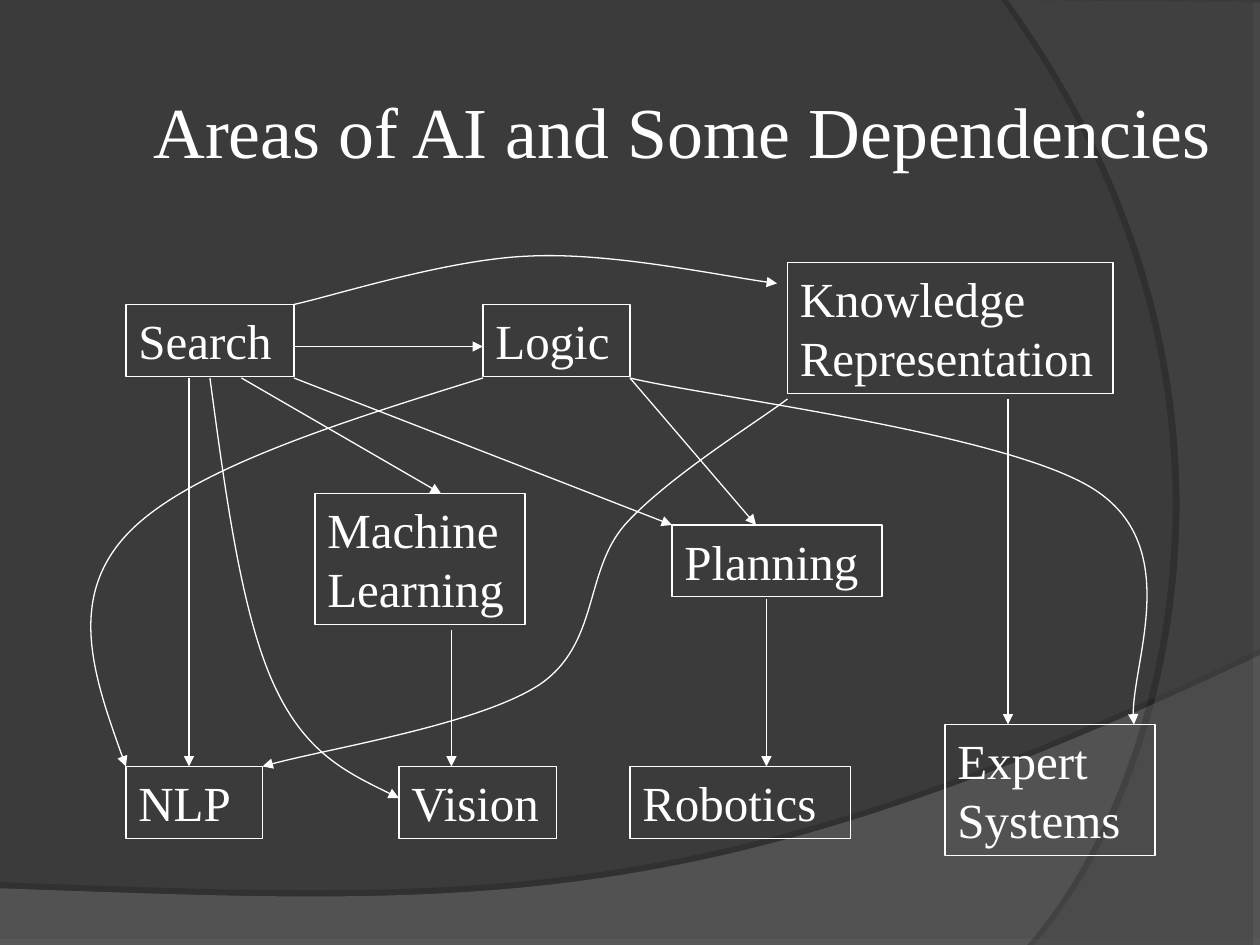
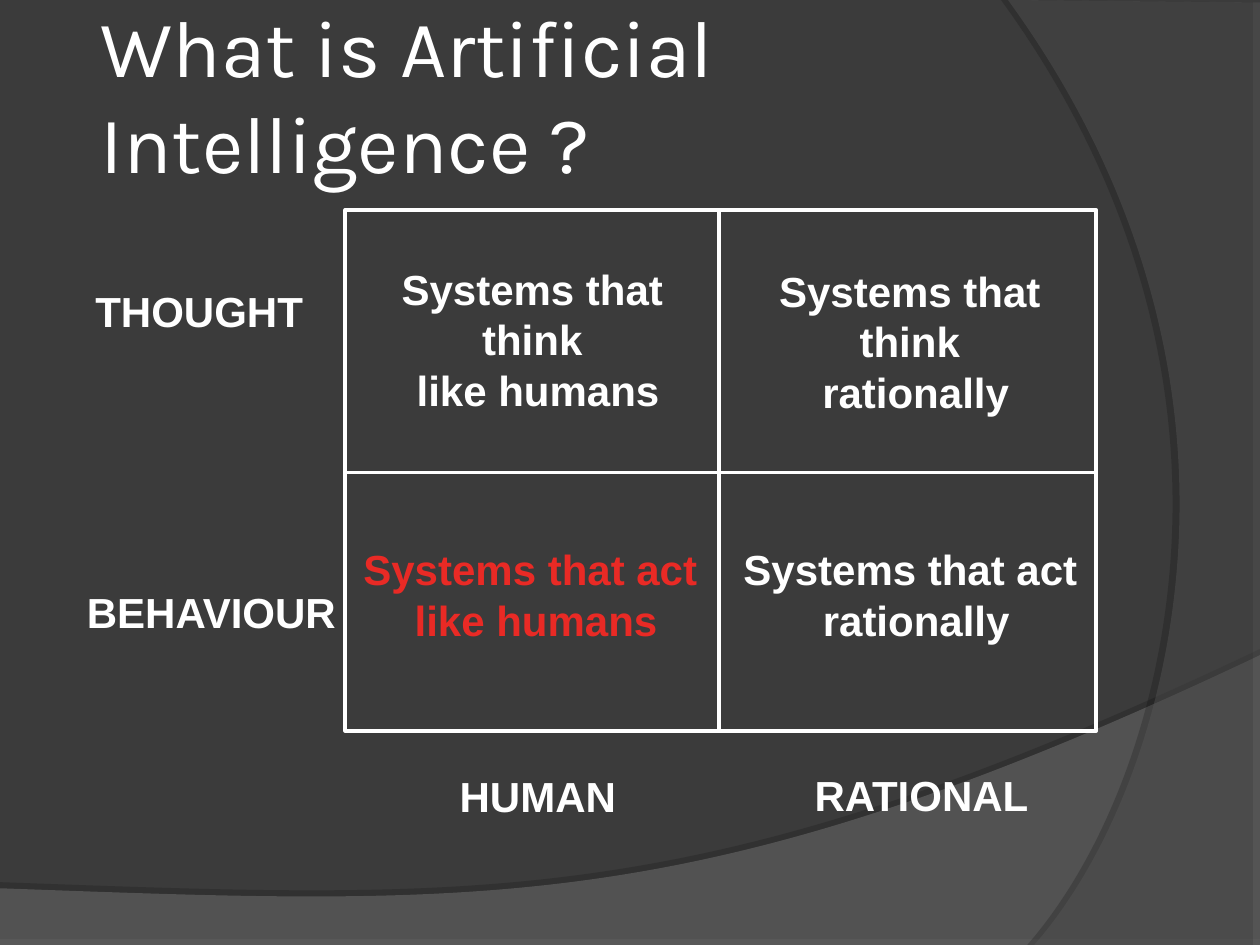
from dataclasses import dataclass
from typing import Any

import pptx
import pptx.dml.color
import pptx.enum.dml
import pptx.enum.shapes
import pptx.enum.text
import pptx.oxml
import pptx.oxml.ns
import pptx.util

# The slide is a grid of 120 columns by 90 rows.
WIDE, HIGH = pptx.util.Inches(10), pptx.util.Inches(7.5)
UNIT = WIDE / 120

COLORS = {
    "back": "3B3B3B",
    "floor": "7C7C7C",
    "side": "595959",
    "white": "FFFFFF",
    "red": "E92A25",
    "shade": "000000",
}
SERIF, SANS, HEAD = "Times New Roman", "Arial", "Karla"
ALIGN = pptx.enum.text.PP_ALIGN
ANCHOR = pptx.enum.text.MSO_ANCHOR

Point = tuple[float, float]


@dataclass(frozen=True)
class Band:
    color: str
    alpha: int
    shade: int
    dist: float
    angle: int
    edge: list[Point]
    bend: list[Point]


@dataclass(frozen=True)
class Label:
    text: str
    col: float
    row: float
    cols: float
    rows: float
    size: int = 24
    font: str = SANS
    color: str = "white"
    bold: bool = True
    wrap: bool = False
    align: Any = ALIGN.LEFT
    anchor: Any = ANCHOR.TOP
    inset: float = 0.1


@dataclass(frozen=True)
class Node:
    text: str
    col: float
    row: float
    cols: float
    lines: int = 1


BANDS = [
    Band("floor", 45, 35, 3.5, 270,
         [(0, 84.6), (0, 90), (120, 90), (120, 62.4)],
         [(67.1, 87.5), (46.9, 86.3), (0, 84.6)]),
    Band("side", 40, 45, 4, 180,
         [(96, 0), (120, 0.24), (120, 90), (98.5, 90)],
         [(105.4, 82.1), (111.2, 68.6), (112.2, 52.6),
          (113.2, 36.6), (109.1, 18), (96, 0)]),
]

NODES = [
    Node("Search", 12, 29, 16),
    Node("Vision", 38, 73, 15),
    Node("Planning", 64, 50, 20),
    Node("Machine Learning", 30, 47, 20, 2),
    Node("Knowledge Representation", 75, 25, 31, 2),
    Node("Logic", 46, 29, 14),
    Node("Expert Systems", 90, 69, 20, 2),
    Node("Robotics", 60, 73, 21),
    Node("NLP", 12, 73, 13),
]

ARROWS: list[tuple[Point, Point]] = [
    ((18, 36), (18, 73)),  # Search to NLP
    ((28, 33), (46, 33)),  # Search to Logic
    ((28, 36), (64, 50)),  # Search to Planning
    ((23, 36), (42, 47)),  # Search to Machine Learning
    ((60, 36), (72, 50)),  # Logic to Planning
    ((96, 38), (96, 69)),  # Knowledge to Expert Systems
    ((43, 60), (43, 73)),  # Machine Learning to Vision
    ((73, 57), (73, 73)),  # Planning to Robotics
]

# Each curve is a start point, then three Bezier points a segment.
CURVES: list[list[Point]] = [
    # Search to Knowledge
    [(28, 29), (31.7, 28.2), (42.6, 24.7), (50.3, 24.4),
     (58, 24), (69.1, 26.4), (74, 27)],
    # Search to Vision
    [(20, 36), (21.5, 47.2), (23, 58.3), (26, 65),
     (29, 71.7), (33.5, 73.8), (38, 76)],
    # Logic to NLP
    [(46, 36), (31.8, 40.4), (17.6, 44.9), (12, 51),
     (6.4, 57.1), (9.1, 65), (12, 73)],
    # Logic to Expert Systems
    [(60, 36), (67.4, 37.8), (96.5, 41.3), (104.5, 46.8),
     (112.6, 52.3), (107.3, 64.3), (108, 69)],
    # Knowledge to NLP
    [(75, 38), (72.4, 40), (63.5, 45.5), (59.5, 50), (55.6, 54.5),
     (57.1, 61.3), (51.4, 65.2), (45.6, 69), (30.5, 71.4), (25, 73)],
]

VIEWS = [
    Label("Systems that act\v rationally", 69.6, 51.2, 34.2, 10.8,
          align=ALIGN.CENTER),
    Label("Systems that think\v like humans", 33.8, 24.5, 33.8, 15.6,
          wrap=True, align=ALIGN.CENTER),
    Label("Systems that think\v rationally", 70.8, 24.7, 31.7, 15.6,
          wrap=True, align=ALIGN.CENTER),
    Label("Systems that act\v like humans", 33.4, 51.2, 34.2, 10.8,
          color="red", align=ALIGN.CENTER),
    Label("THOUGHT", 7.9, 26.6, 22.2, 6),
    Label("BEHAVIOUR", 7.1, 55.3, 26.4, 6),
    Label("HUMAN", 42.6, 72.8, 17.3, 6),
    Label("RATIONAL", 76.4, 72.7, 23, 6),
]


def span(*units: float) -> list[int]:
    """Turn grid units into EMU."""
    return [round(unit * UNIT) for unit in units]


def tint(name: str) -> pptx.dml.color.RGBColor:
    return pptx.dml.color.RGBColor.from_string(COLORS[name])


def node(tag: str, **values: Any) -> Any:
    """Make a bare drawing element."""
    item = pptx.oxml.parse_xml(f"<{tag} {pptx.oxml.ns.nsdecls('a')}/>")
    for key, value in values.items():
        item.set(key, str(value))
    return item


def stroke(shape: Any, width: float, arrow: bool = False) -> None:
    shape.line.color.rgb = tint("white")
    shape.line.width = pptx.util.Pt(width)
    if arrow:
        shape.line._get_or_add_ln().append(node("a:tailEnd", type="triangle"))


def outline(slide: Any, edge: list[Point], bend: list[Point],
            close: bool) -> Any:
    """Draw straight edges, then Bezier segments of three points each."""
    first, *rest = [span(*point) for point in edge + bend]
    pen = slide.shapes.build_freeform(*first)
    pen.add_line_segments(rest, close=close)
    shape = pen.convert_to_shape()
    shape.shadow.inherit = False
    steps = list(shape.element.iter(pptx.oxml.ns.qn("a:lnTo")))
    steps = steps[len(edge) - 1:]
    for trio in zip(*[iter(steps)] * 3):
        curve = node("a:cubicBezTo")
        trio[0].addprevious(curve)
        for step in trio:
            curve.append(step[0])
            step.getparent().remove(step)
    return shape


def draw_band(slide: Any, band: Band) -> Any:
    shape = outline(slide, band.edge, band.bend, True)
    shape.fill.solid()
    shape.fill.fore_color.rgb = tint(band.color)
    shape.line.fill.background()
    hue = next(shape.element.spPr.iter(pptx.oxml.ns.qn("a:srgbClr")))
    hue.append(node("a:alpha", val=band.alpha * 1000))
    shade = node("a:outerShdw", blurRad=0, dist=pptx.util.Pt(band.dist),
                 dir=band.angle * 60000, algn="ctr", rotWithShape=0)
    black = node("a:srgbClr", val=COLORS["shade"])
    black.append(node("a:alpha", val=band.shade * 1000))
    shade.append(black)
    shape.element.spPr.find(pptx.oxml.ns.qn("a:effectLst")).append(shade)
    return shape


def write(shape: Any, label: Label) -> None:
    frame = shape.text_frame
    frame.word_wrap = label.wrap
    frame.vertical_anchor = label.anchor
    frame.margin_left = frame.margin_right = pptx.util.Inches(label.inset)
    frame.margin_top = frame.margin_bottom = pptx.util.Inches(0.05)
    para = frame.paragraphs[0]
    para.text = label.text
    para.alignment = label.align
    para.font.name = label.font
    para.font.size = pptx.util.Pt(label.size)
    para.font.bold = label.bold
    para.font.color.rgb = tint(label.color)


def draw_label(slide: Any, label: Label) -> None:
    place = span(label.col, label.row, label.cols, label.rows)
    write(slide.shapes.add_textbox(*place), label)


def draw_title(slide: Any, text: str, place: tuple[float, ...], size: int,
               font: str) -> None:
    draw_label(slide, Label(text, *place, size, font, bold=False, wrap=True,
                            anchor=ANCHOR.MIDDLE, inset=0.05))


def draw_frame(slide: Any, place: tuple[float, ...], width: float) -> Any:
    shape = slide.shapes.add_shape(
        pptx.enum.shapes.MSO_SHAPE.RECTANGLE, *span(*place))
    shape.shadow.inherit = False
    shape.fill.background()
    stroke(shape, width)
    return shape


def draw_node(slide: Any, item: Node) -> None:
    place = (item.col, item.row, item.cols, 1.2 + 5.65 * item.lines)
    write(draw_frame(slide, place, 0.75),
          Label(item.text, *place, 28, SERIF, bold=False, wrap=True))


def draw_line(slide: Any, start: Point, end: Point, width: float,
              arrow: bool = False) -> None:
    line = slide.shapes.add_connector(
        pptx.enum.shapes.MSO_CONNECTOR.STRAIGHT, *span(*start, *end))
    stroke(line, width, arrow)
    line.element.spPr.append(node("a:effectLst"))


def draw_areas(slide: Any) -> None:
    draw_title(slide, "Areas of AI and Some Dependencies",
               (14, 2.8, 103.3, 19.2), 41, SERIF)
    for item in NODES:
        draw_node(slide, item)
    for start, end in ARROWS:
        draw_line(slide, start, end, 0.75, True)
    for start, *bend in CURVES:
        curve = outline(slide, [start], bend, False)
        curve.fill.background()
        stroke(curve, 0.75, True)


def draw_views(slide: Any) -> None:
    draw_title(slide, "What is Artificial Intelligence ?",
               (9, 1.4, 102, 15), 46, HEAD)
    left, top, cols, rows = 32.9, 20, 71.5, 49.6
    draw_line(slide, (left, 45), (left + cols, 45), 2.25)
    draw_line(slide, (68.5, top), (68.5, top + rows), 2.25)
    draw_frame(slide, (left, top, cols, rows), 2.25)
    for label in VIEWS:
        draw_label(slide, label)


def main() -> None:
    deck = pptx.Presentation()
    deck.slide_width, deck.slide_height = WIDE, HIGH
    master, blank = deck.slide_master, deck.slide_layouts[6]
    master.background.fill.solid()
    master.background.fill.fore_color.rgb = tint("back")
    areas, views = (deck.slides.add_slide(blank) for _ in range(2))
    for rank, band in enumerate(BANDS, 20):
        shape = draw_band(areas, band).element
        shape.nvSpPr.cNvPr.set("id", str(rank))
        master.shapes.element.append(shape)  # both slides share the bands
    draw_areas(areas)
    draw_views(views)
    deck.save("out.pptx")


if __name__ == "__main__":
    main()
